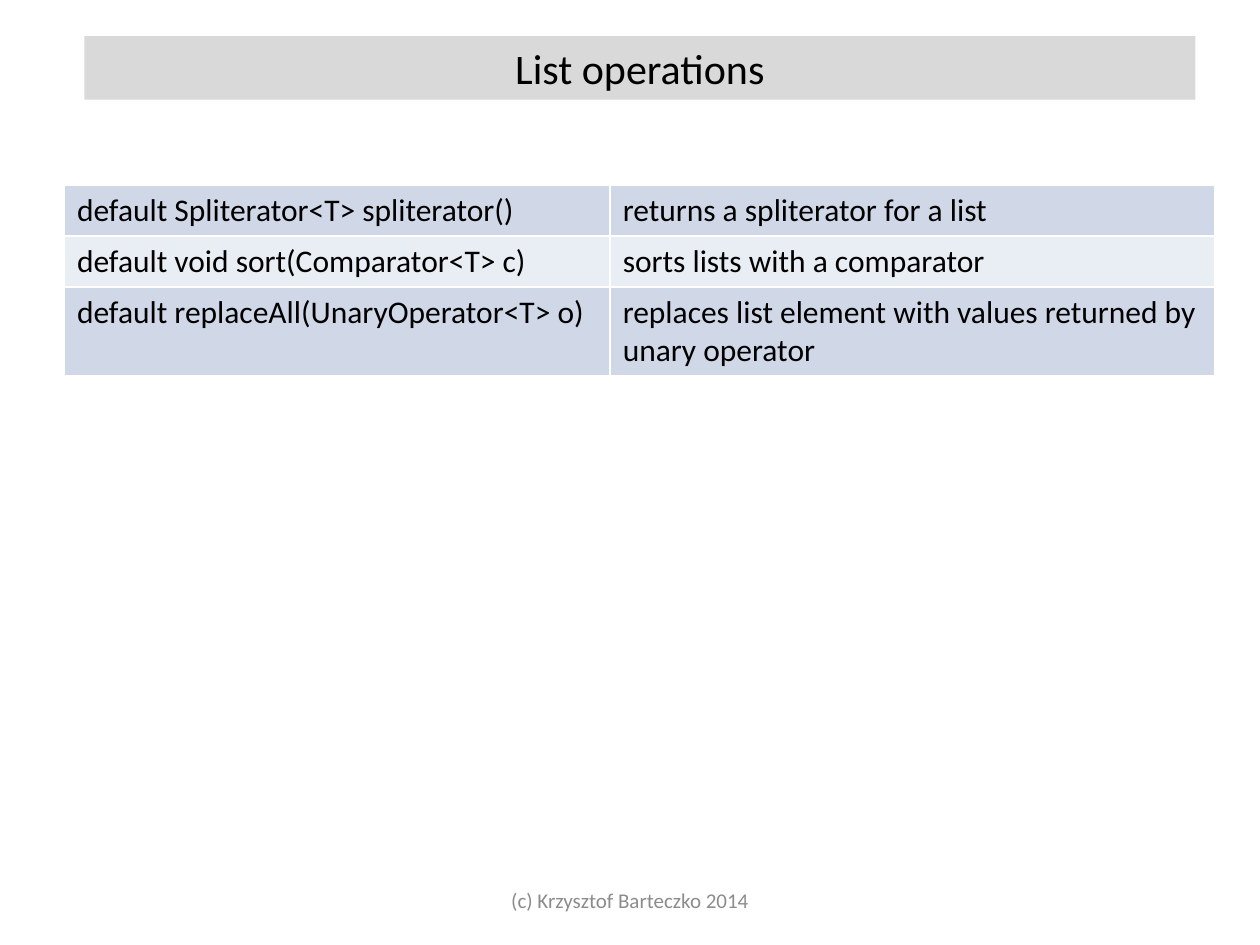
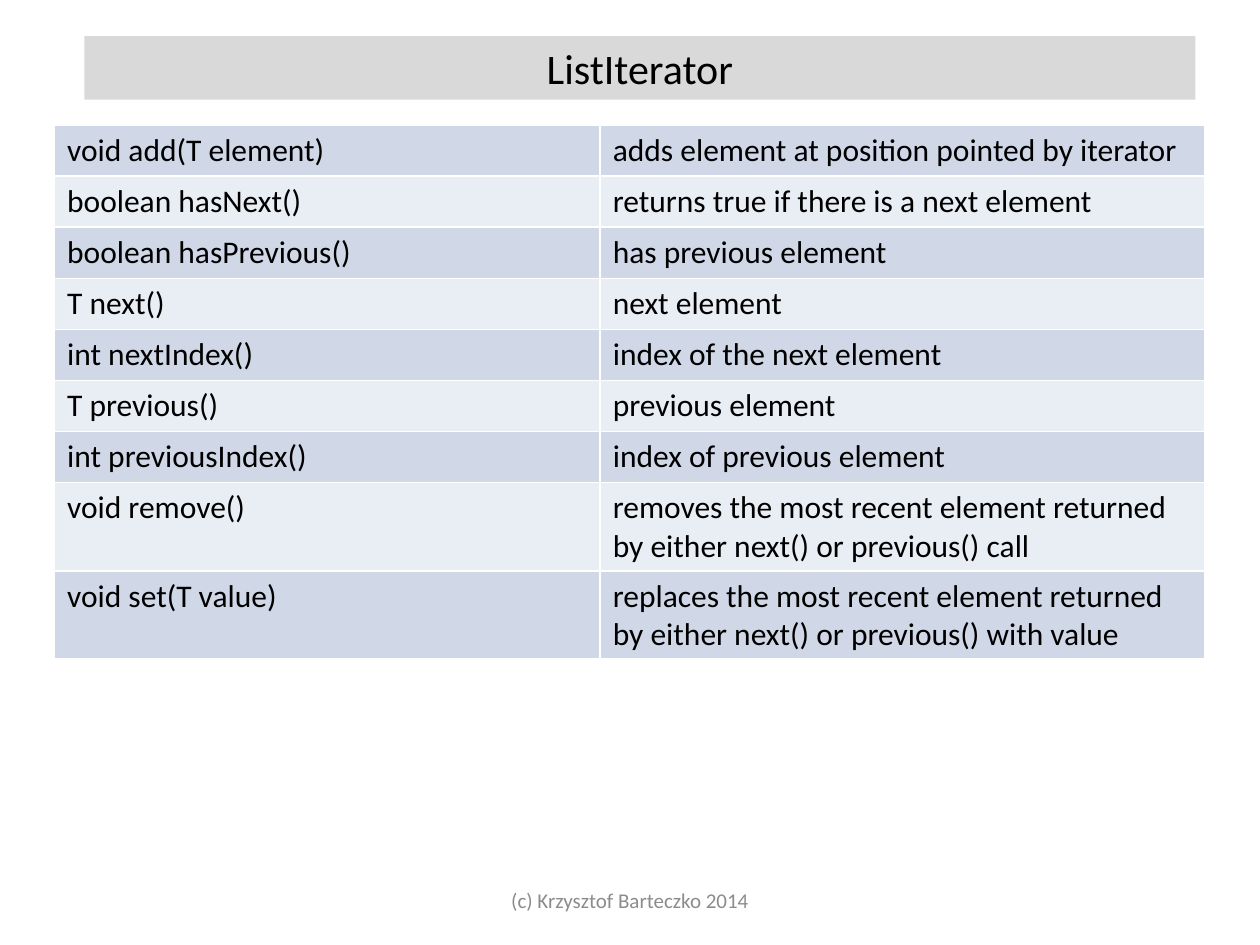
"""Build two slides that list the methods of List and ListIterator."""
from lxml import etree
from pptx import Presentation
from pptx.dml.color import RGBColor
from pptx.enum.shapes import MSO_SHAPE
from pptx.enum.text import MSO_ANCHOR, PP_ALIGN
from pptx.oxml.ns import qn
from pptx.util import Cm, Pt

SLIDES = [
    ("List operations", (1.3, 3.73), [
        ("default Spliterator<T> spliterator()", "returns a spliterator for a list"),
        ("default void sort(Comparator<T> c)", "sorts lists with a comparator"),
        ("default replaceAll(UnaryOperator<T> o)",
         "replaces list element with values returned by unary operator"),
    ]),
    ("ListIterator", (1.1, 2.52), [
        ("void add(T element)", "adds element at position pointed by iterator"),
        ("boolean hasNext()", "returns true if there is a next element"),
        ("boolean hasPrevious()", "has previous element"),
        ("T next()", "next element"),
        ("int nextIndex()", "index of the next element"),
        ("T previous()", "previous element"),
        ("int previousIndex()", "index of previous element"),
        ("void remove()",
         "removes the most recent element returned by either next() or previous() call"),
        ("void set(T value)",
         "replaces the most recent element returned by either next() or previous() with value"),
    ]),
]
FOOTER = "(c) Krzysztof Barteczko 2014"

FONT = "Calibri"
BLACK = RGBColor(0x00, 0x00, 0x00)
GREY = RGBColor(0x8C, 0x8C, 0x8C)
BAND = RGBColor(0xD9, 0xD9, 0xD9)
WHITE = RGBColor(0xFF, 0xFF, 0xFF)
ROWS = (RGBColor(0xD0, 0xD8, 0xE8), RGBColor(0xE9, 0xED, 0xF4))
COLS = (11, 12.19)
ROW = 1.03
RECT = MSO_SHAPE.RECTANGLE
CENTER, LEFT = PP_ALIGN.CENTER, PP_ALIGN.LEFT
MIDDLE, TOP = MSO_ANCHOR.MIDDLE, MSO_ANCHOR.TOP


def write(frame, text, size, color, align):
    frame.text = text
    frame.word_wrap = True
    para = frame.paragraphs[0]
    para.alignment = align
    font = para.runs[0].font
    font.name, font.size = FONT, Pt(size)
    font.color.rgb = color


def add_footer(slide):
    box = slide.shapes.add_textbox(Cm(8.68), Cm(17.65), Cm(8.04), Cm(1.01))
    write(box.text_frame, FOOTER, 12, GREY, CENTER)
    box.text_frame.vertical_anchor = MIDDLE


def add_title(slide, text):
    band = slide.shapes.add_shape(RECT, Cm(1.7), Cm(0.73), Cm(22.4), Cm(1.28))
    band.shadow.inherit = False
    band.fill.solid()
    band.fill.fore_color.rgb = BAND
    band.line.fill.background()
    write(band.text_frame, text, 24, BLACK, CENTER)
    band.text_frame.vertical_anchor = TOP


def add_edges(cell):
    props = cell._tc.get_or_add_tcPr()
    for side in ("lnL", "lnR", "lnT", "lnB"):
        line = etree.SubElement(props, qn("a:" + side), w=str(Pt(1)))
        fill = etree.SubElement(line, qn("a:solidFill"))
        etree.SubElement(fill, qn("a:srgbClr"), val=str(WHITE))


def add_grid(slide, spot, rows):
    left, top = spot
    table = slide.shapes.add_table(
        len(rows), len(COLS), Cm(left), Cm(top), Cm(sum(COLS)), Cm(ROW * len(rows))).table
    table.first_row = False
    for col, width in zip(table.columns, COLS):
        col.width = Cm(width)
    for r, texts in enumerate(rows):
        table.rows[r].height = Cm(ROW)
        for c, text in enumerate(texts):
            cell = table.cell(r, c)
            write(cell.text_frame, text, 18, BLACK, LEFT)
            add_edges(cell)
            cell.fill.solid()
            cell.fill.fore_color.rgb = ROWS[r % 2]


def main():
    deck = Presentation()
    deck.slide_width, deck.slide_height = Cm(25.4), Cm(19.05)
    for title, spot, rows in SLIDES:
        slide = deck.slides.add_slide(deck.slide_layouts[6])
        add_footer(slide)
        add_title(slide, title)
        add_grid(slide, spot, rows)
    deck.save("out.pptx")


if __name__ == "__main__":
    main()
